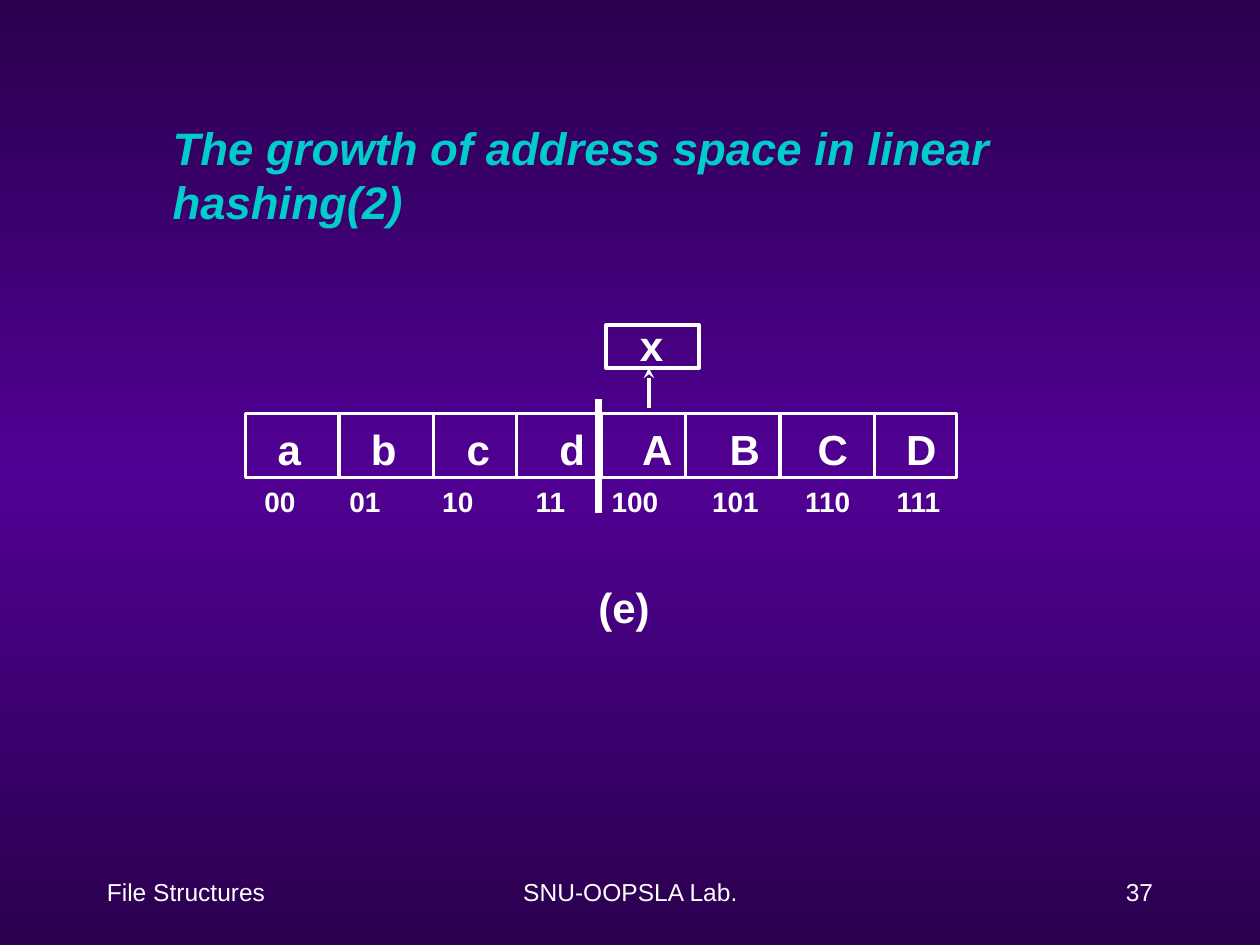
from copy import deepcopy

from lxml import etree
from pptx import Presentation
from pptx import util as u
from pptx.dml.color import RGBColor
from pptx.enum import shapes, text
from pptx.oxml.ns import qn

Pt = u.Pt
WHITE, CYAN = "FFFFFF", "00CCCC"
DARK, VIOLET = "2A004E", "500093"
LEFT, CENTER, RIGHT = text.PP_ALIGN.LEFT, text.PP_ALIGN.CENTER, text.PP_ALIGN.RIGHT
TOP, MIDDLE = text.MSO_ANCHOR.TOP, text.MSO_ANCHOR.MIDDLE


def rgb(color):
    return RGBColor.from_string(color)


def set_background(s):
    fill = s.background.fill
    fill.gradient()
    fill.gradient_angle = 270
    stops = s.background._cSld.find(".//" + qn("a:gsLst"))
    stops.append(deepcopy(stops[0]))
    for stop, pos, color in zip(fill.gradient_stops, (0, 0.5, 1), (DARK, VIOLET, DARK)):
        stop.position = pos
        stop.color.rgb = rgb(color)


def write(sp, words, size, color=WHITE, bold=True, italic=False,
          align=LEFT, anchor=TOP, wrap=False, tabs=()):
    tf = sp.text_frame
    tf.word_wrap = wrap
    tf.auto_size = text.MSO_AUTO_SIZE.NONE
    tf.vertical_anchor = anchor
    p = tf.paragraphs[0]
    p.text = words
    p.alignment = align
    if tabs:
        stops = etree.SubElement(p._p.get_or_add_pPr(), qn("a:tabLst"))
        for pos in tabs:
            etree.SubElement(stops, qn("a:tab"), pos=str(Pt(pos)), algn="ctr")
    f = p.font
    f.name, f.size, f.bold, f.italic = "Arial", Pt(size), bold, italic
    f.color.rgb = rgb(color)


def add_text(s, x, y, w, h, words, size, **style):
    write(s.shapes.add_textbox(Pt(x), Pt(y), Pt(w), Pt(h)), words, size, **style)


def add_row(s, x, y, w, h, labels, centers, size):
    """One line of labels, each centred on its own tab stop."""
    inset = 7.2
    tabs = [round(c - x - inset, 2) for c in centers]
    add_text(s, x, y, w, h, "".join("\t" + t for t in labels), size, wrap=True, tabs=tabs)


def add_box(s, x, y, w, h):
    sp = s.shapes.add_shape(shapes.MSO_SHAPE.RECTANGLE, Pt(x), Pt(y), Pt(w), Pt(h))
    sp.shadow.inherit = False
    sp.fill.background()
    sp.line.color.rgb = rgb(WHITE)
    sp.line.width = Pt(2)


def add_vertical(s, x, y1, y2, width=2, arrow=False):
    cx = s.shapes.add_connector(shapes.MSO_CONNECTOR.STRAIGHT, Pt(x), Pt(y1), Pt(x), Pt(y2))
    cx.line.color.rgb = rgb(WHITE)
    cx.line.width = Pt(width)
    if arrow:
        etree.SubElement(cx.line._get_or_add_ln(), qn("a:tailEnd"), type="stealth")
    etree.SubElement(cx._element.spPr, qn("a:effectLst"))


def main():
    prs = Presentation()
    prs.slide_width, prs.slide_height = Pt(720), Pt(540)
    s = prs.slides.add_slide(prs.slide_layouts[5])
    set_background(s)

    # Title
    title = s.shapes.title
    title.left, title.top, title.width, title.height = Pt(91.4), Pt(64.8), Pt(620.6), Pt(38.2)
    write(title, "The growth of address space in linear hashing(2)", 26,
          color=CYAN, italic=True)

    # Address space: buckets with their addresses below
    add_box(s, 140.4, 236.2, 406.1, 36.7)
    for x in (193.7, 247.7, 295.2, 343.4, 391.7, 445.7, 499.7):
        add_vertical(s, x, 235.4, 272.2)
    add_row(s, 144.7, 238.3, 400.3, 36, "abcdABCD",
            (165.4, 219.4, 273.4, 327.1, 375.7, 425.7, 476, 526.6), 24)
    add_row(s, 139.7, 273.6, 409.7, 26.6,
            ("00", "01", "10", "11", "100", "101", "110", "111"),
            (160, 208.6, 261.7, 314.6, 362.9, 420.3, 473.1, 524.9), 16)

    # Overflow bucket, its pointer and the split mark
    add_box(s, 346.3, 185.8, 53.3, 24.5)
    add_text(s, 358.6, 179.3, 28.1, 36, "x", 24)
    add_vertical(s, 370.8, 233.3, 210.2, arrow=True)
    add_vertical(s, 342, 228.2, 293, width=4)

    # Caption
    add_text(s, 334.8, 329, 43.9, 36, "(e)", 24)

    # Footer
    for x, w, words, align in ((246.2, 228.2, "SNU-OOPSLA Lab.", CENTER),
                               (516.2, 149.8, "37", RIGHT),
                               (54, 149.8, "File Structures", LEFT)):
        add_text(s, x, 491.8, w, 36, words, 14, bold=False, align=align,
                 anchor=MIDDLE, wrap=True)

    prs.save("out.pptx")


if __name__ == "__main__":
    main()
